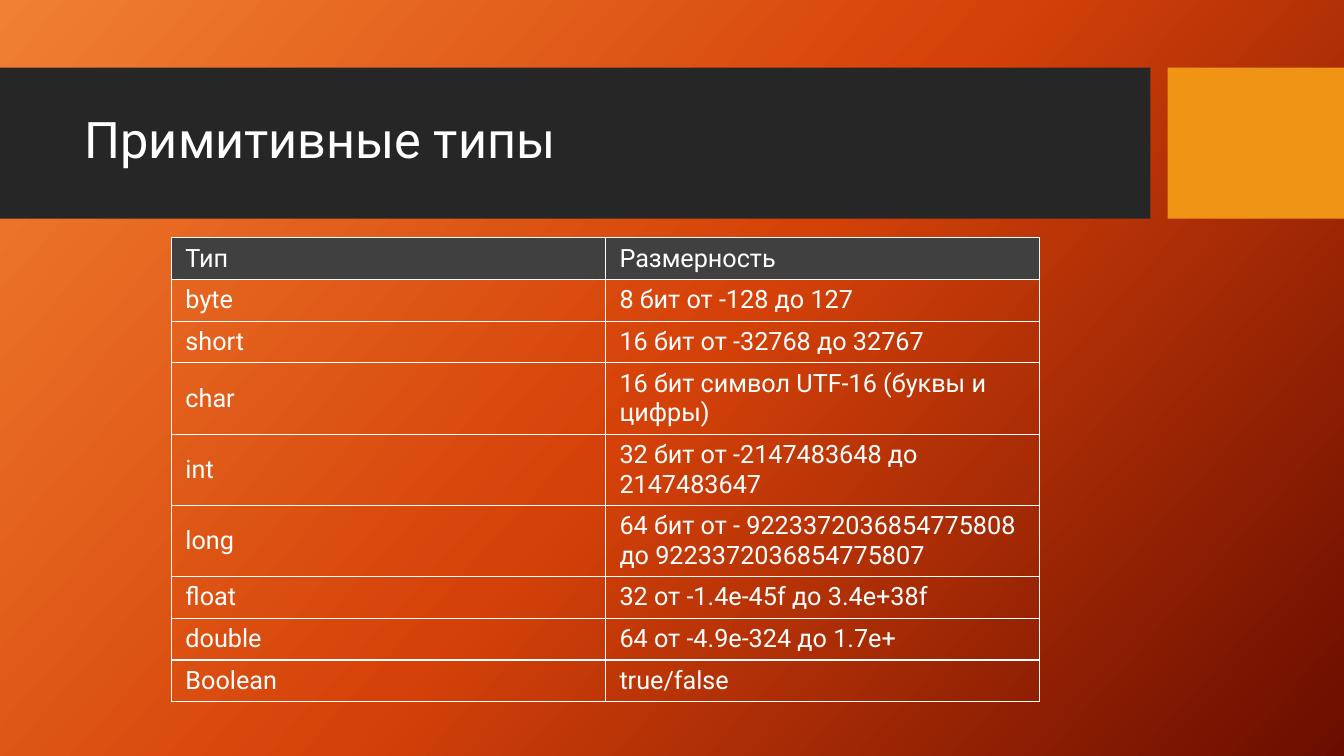
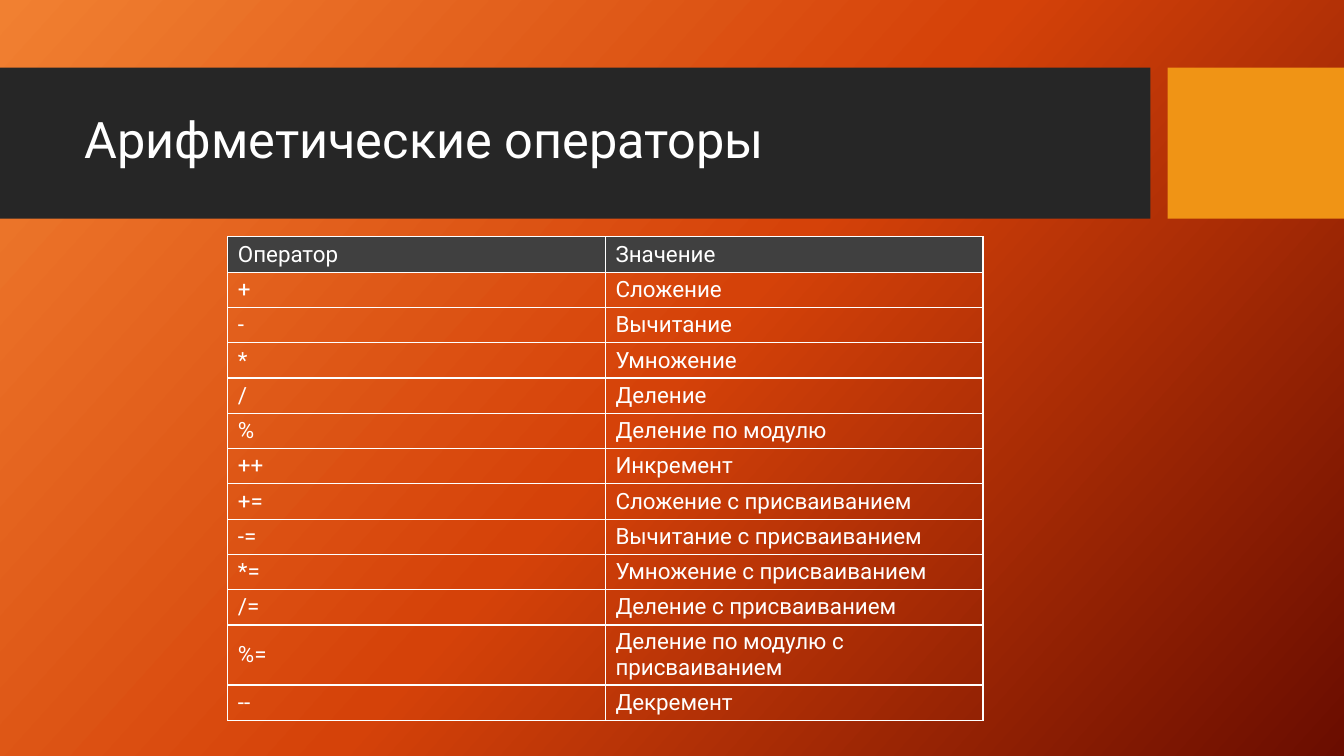
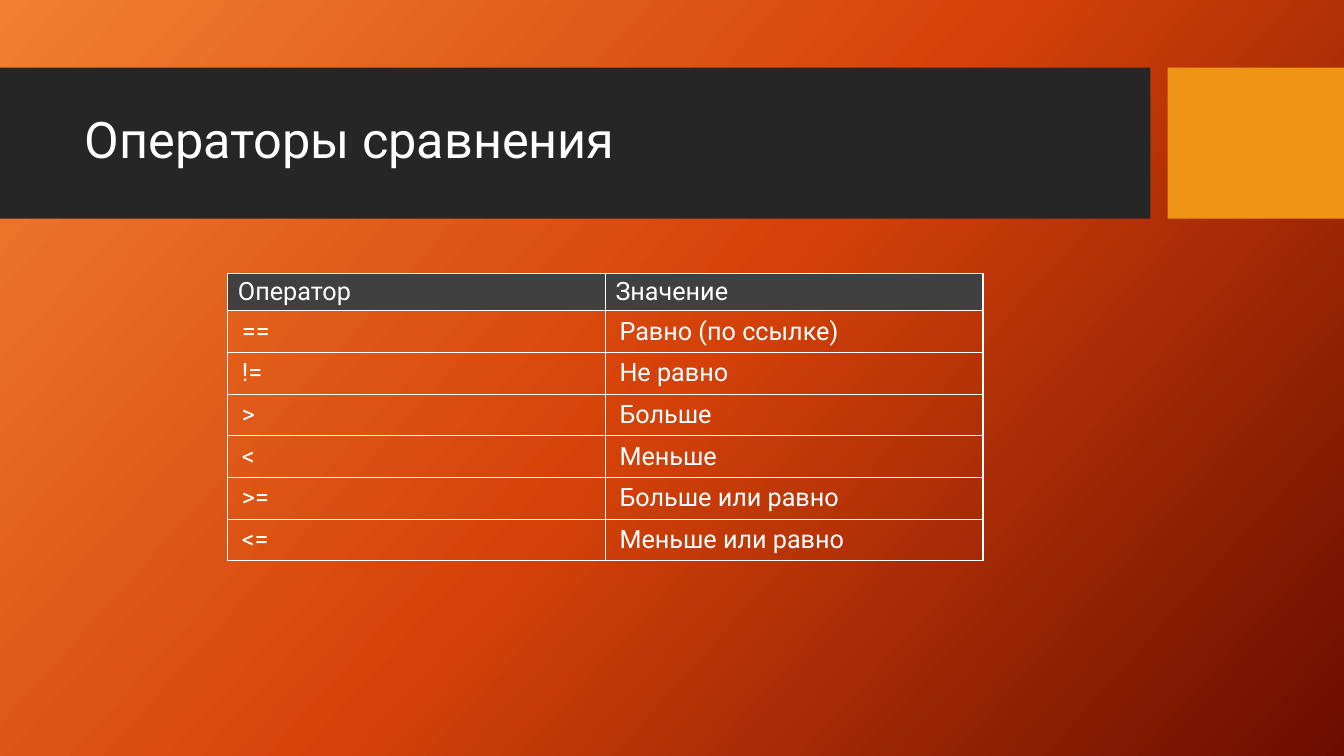
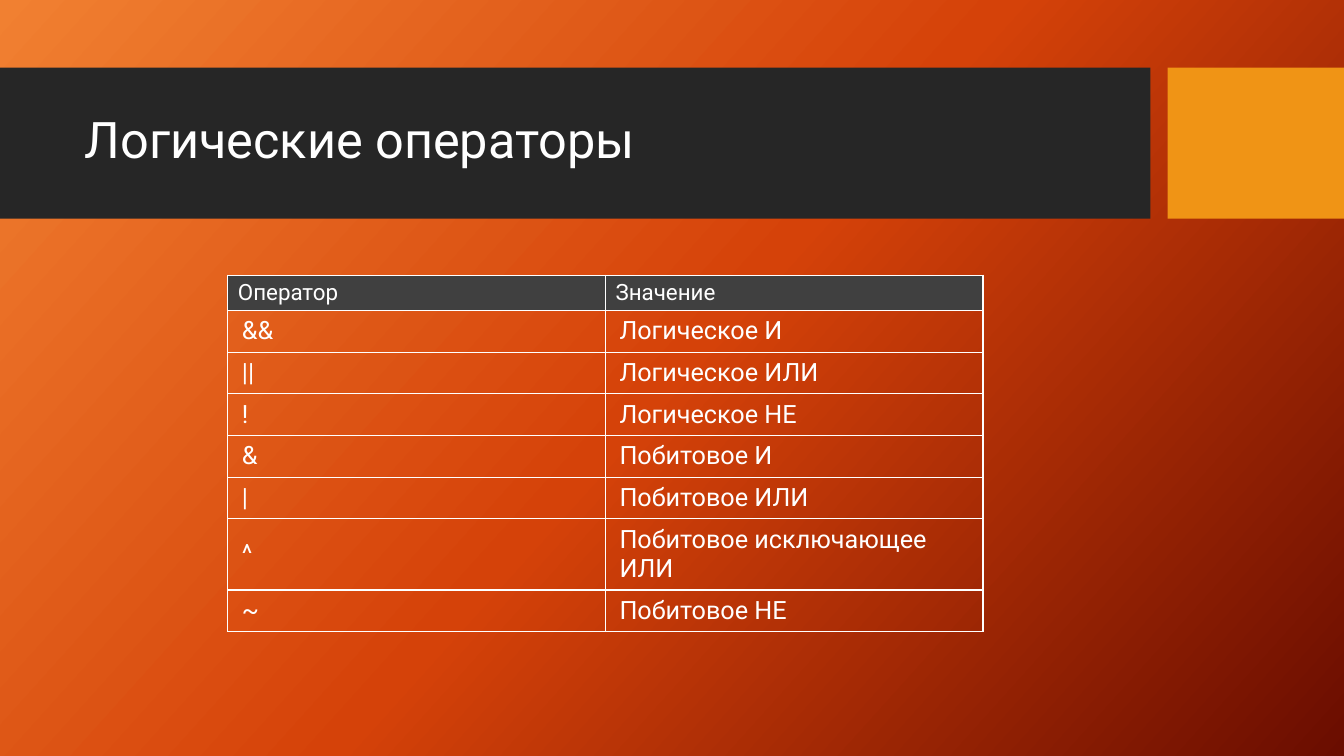
"""Build four slides with tables of primitive types and operators."""
from copy import deepcopy

from lxml import etree
from pptx import Presentation
from pptx.dml.color import RGBColor
from pptx.enum.shapes import MSO_SHAPE
from pptx.enum.text import MSO_ANCHOR, MSO_AUTO_SIZE, PP_ALIGN
from pptx.oxml.ns import qn
from pptx.util import Inches, Pt

RECTANGLE = MSO_SHAPE.RECTANGLE
MIDDLE = MSO_ANCHOR.MIDDLE
NO_AUTOFIT = MSO_AUTO_SIZE.NONE
LEFT = PP_ALIGN.LEFT

FONT = "Roboto"
WHITE = "FFFFFF"
HEADER_FILL = "404040"
GRADIENT = [(0, "F18031"), (0.5, "D54209"), (1, "6A0D00")]
BANDS = [(0, 11.41, "262626"), (11.58, 1.75, "F09415")]
TITLE_BOX = {"left": 0.74, "top": 0.82, "width": 10.51, "height": 1.18}
ROW_HEIGHT = 0.35
TIGHT = (0.1, 0.04)
ROOMY = (0.14, 0.06)

TABLES = [
    {
        "title": "Примитивные типы",
        "box": (1.7, 2.36, 8.61, 4.72),
        "header": (18, ROOMY),
        "body": (18, ROOMY),
        "rows": [
            ("Тип", "Размерность"),
            ("byte", "8 бит от -128 до 127"),
            ("short", "16 бит от -32768 до 32767"),
            ("char", "16 бит символ UTF-16 (буквы и цифры)"),
            ("int", "32 бит от -2147483648 до 2147483647"),
            ("long", "64 бит от - 9223372036854775808 до 9223372036854775807"),
            ("float", "32 от -1.4e-45f до 3.4e+38f"),
            ("double", "64 от -4.9e-324 до 1.7e+"),
            ("Boolean", "true/false"),
        ],
    },
    {
        "title": "Арифметические операторы",
        "box": (2.26, 2.35, 7.49, 4.89),
        "header": (16, TIGHT),
        "body": (16, TIGHT),
        "rows": [
            ("Оператор", "Значение"),
            ("+", "Сложение"),
            ("-", "Вычитание"),
            ("*", "Умножение"),
            ("/", "Деление"),
            ("%", "Деление по модулю"),
            ("++", "Инкремент"),
            ("+=", "Сложение с присваиванием"),
            ("-=", "Вычитание с присваиванием"),
            ("*=", "Умножение с присваиванием"),
            ("/=", "Деление с присваиванием"),
            ("%=", "Деление по модулю с присваиванием"),
            ("--", "Декремент"),
        ],
    },
    {
        "title": "Операторы сравнения",
        "box": (2.26, 2.71, 7.49, 2.94),
        "header": (18, TIGHT),
        "body": (18, ROOMY),
        "rows": [
            ("Оператор", "Значение"),
            ("==", "Равно (по ссылке)"),
            ("!=", "Не равно"),
            (">", "Больше"),
            ("<", "Меньше"),
            (">=", "Больше или равно"),
            ("<=", "Меньше или равно"),
        ],
    },
    {
        "title": "Логические операторы",
        "box": (2.26, 2.73, 7.49, 3.63),
        "header": (16, TIGHT),
        "body": (18, ROOMY),
        "rows": [
            ("Оператор", "Значение"),
            ("&&", "Логическое И"),
            ("||", "Логическое ИЛИ"),
            ("!", "Логическое НЕ"),
            ("&", "Побитовое И"),
            ("|", "Побитовое ИЛИ"),
            ("^", "Побитовое исключающее ИЛИ"),
            ("~", "Побитовое НЕ"),
        ],
    },
]


def color(value):
    return RGBColor.from_string(value)


def write(frame, text, size):
    para = frame.paragraphs[0]
    para.alignment = LEFT
    span = para.add_run()
    span.text = text
    for name, value in {"name": FONT, "size": Pt(size)}.items():
        setattr(span.font, name, value)
    span.font.color.rgb = color(WHITE)
    return para


deck = Presentation()
deck.slide_width = Inches(13.33)
deck.slide_height = Inches(7.5)
layout = deck.slide_layouts.get_by_name("Title Only")

background = layout.background.fill
background.gradient()
background.gradient_angle = 360 - 42
first_stop = background.gradient_stops[0].color
stop_list = layout.element.find(".//" + qn("a:gsLst"))
stop_list.insert(1, deepcopy(stop_list[0]))
for stop, (position, value) in zip(background.gradient_stops, GRADIENT):
    stop.position = position
    stop.color.rgb = color(value)

layout_title = layout.placeholders[0]
for name, value in TITLE_BOX.items():
    setattr(layout_title, name, Inches(value))
layout_title.text_frame.vertical_anchor = MIDDLE

for index, table_data in enumerate(TABLES):
    page = deck.slides.add_slide(layout)
    if index == 0:
        for left, width, fill in BANDS:
            band = page.shapes.add_shape(
                RECTANGLE, Inches(left), Inches(0.67), Inches(width), Inches(1.5))
            band.shadow.inherit = False
            band.fill.solid()
            band.fill.fore_color.rgb = color(fill)
            band.line.fill.background()
            layout.shapes.element.insert(2, band.element)

    title = page.shapes.title.text_frame
    title.auto_size = NO_AUTOFIT
    write(title, table_data["title"], 36).line_spacing = 0.9

    rows = table_data["rows"]
    left, top, width, height = map(Inches, table_data["box"])
    frame = page.shapes.add_table(len(rows), 2, left, top, width, height)
    table = frame.table
    table.first_row = False
    table.horz_banding = False

    for row_index, texts in enumerate(rows):
        table.rows[row_index].height = Inches(ROW_HEIGHT)
        size, (side, edge) = table_data["body" if row_index else "header"]
        for column_index, text in enumerate(texts):
            cell = table.cell(row_index, column_index)
            cell_format = {
                "vertical_anchor": MIDDLE,
                "margin_left": Inches(side),
                "margin_right": Inches(side),
                "margin_top": Inches(edge),
                "margin_bottom": Inches(edge),
            }
            for name, value in cell_format.items():
                setattr(cell, name, value)
            write(cell.text_frame, text, size)
            properties = cell._tc.get_or_add_tcPr()
            for tag in ("a:lnL", "a:lnR", "a:lnT", "a:lnB"):
                border = etree.SubElement(properties, qn(tag), w=str(Pt(1)))
                solid = etree.SubElement(border, qn("a:solidFill"))
                etree.SubElement(solid, qn("a:srgbClr"), val=WHITE)
            if row_index:
                cell.fill.background()
            else:
                cell.fill.solid()
                cell.fill.fore_color.rgb = color(HEADER_FILL)
    frame.height = height

deck.save("out.pptx")
